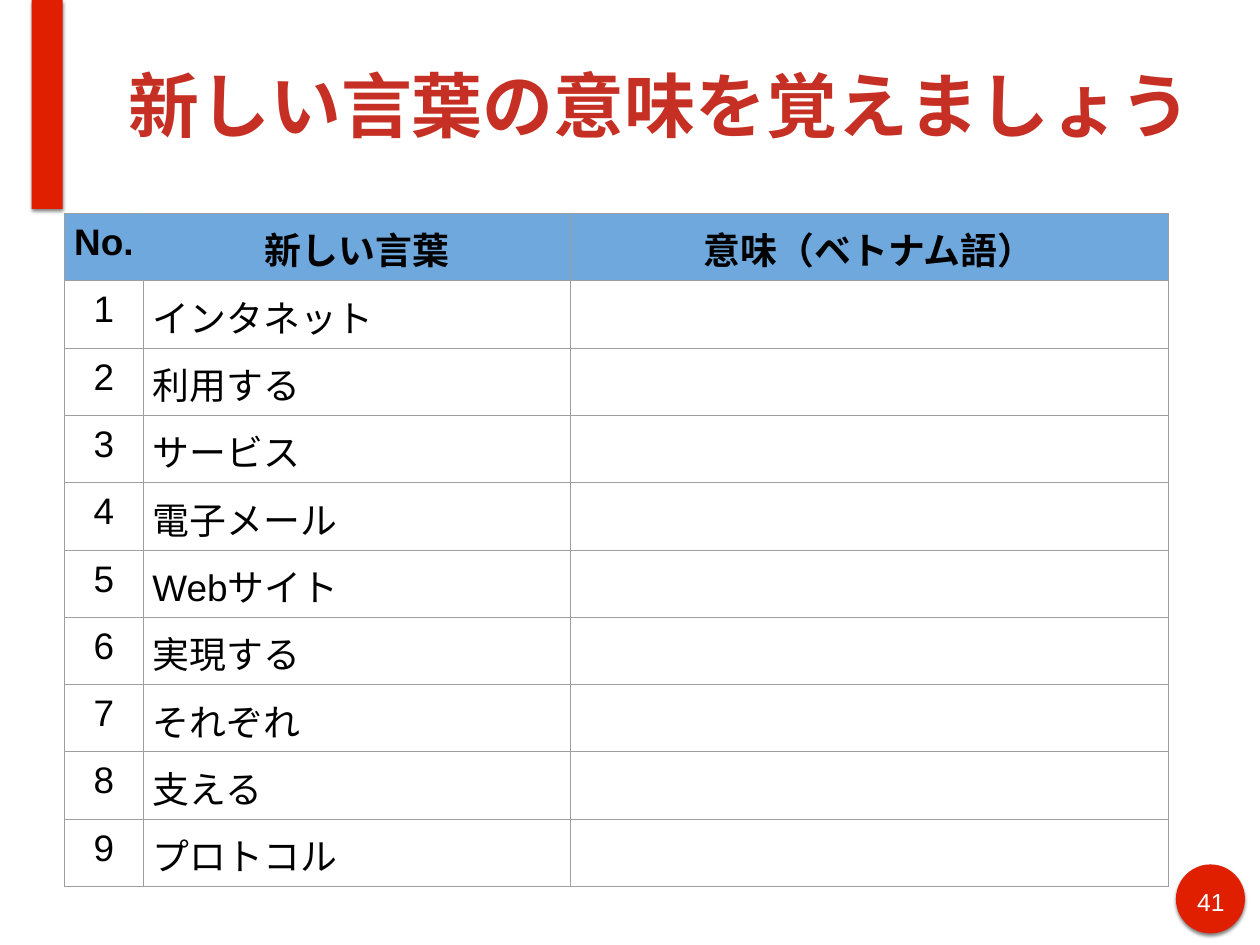
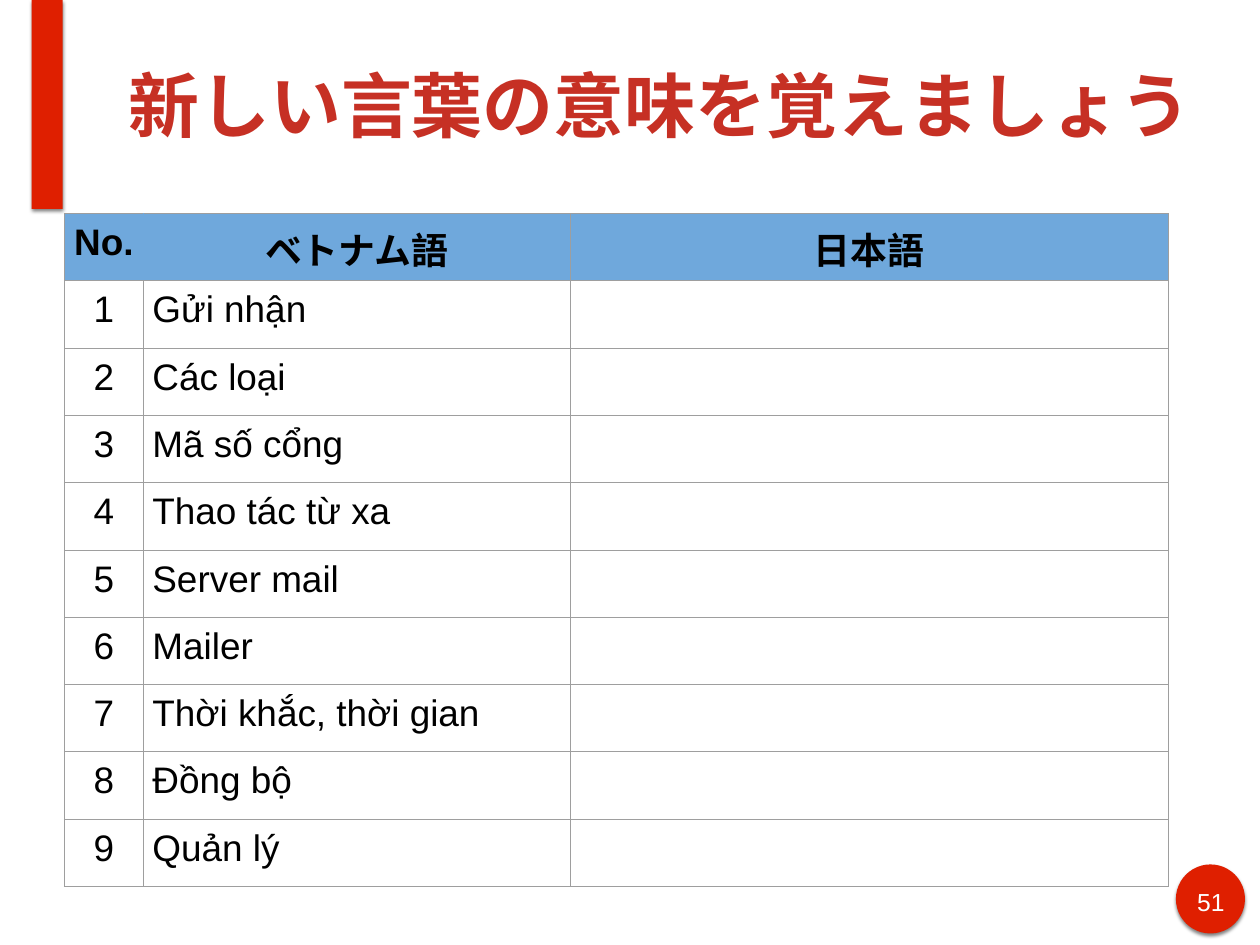
from lxml import etree
from pptx import Presentation
from pptx.dml.color import RGBColor
from pptx.enum.shapes import MSO_SHAPE as SHAPE
from pptx.enum.text import MSO_ANCHOR as ANCHOR, MSO_AUTO_SIZE as AUTO, PP_ALIGN as ALIGN
from pptx.oxml.ns import qn
from pptx.util import Cm, Pt

FONT = "Arial"
RED, TITLE_RED, BLUE = "DF1F00", "C63024", "6FA8DC"
GREY, BLACK, WHITE = "9E9E9E", "000000", "FFFFFF"
TITLE = "新しい言葉の意味を覚えましょう"


def rgb(value):
    return RGBColor.from_string(value)


def add_color(parent, value):
    return etree.SubElement(parent, qn("a:srgbClr"), val=value)


class Deck:
    """Holds the shared style and the current slide."""

    def __init__(self):
        self.prs = Presentation()
        self.prs.slide_width, self.prs.slide_height = Cm(36.12), Cm(27.1)
        self.s = None

    def new_slide(self, number):
        self.s = self.prs.slides.add_slide(self.prs.slide_layouts[5])
        self.shape(SHAPE.OVAL, 33.71, 24.79, 1.98, 1.98)
        self.shape(SHAPE.RECTANGLE, 0.91, 0, 0.89, 5.99)
        self.page_number(number)

    def format(self, p, size, color, bold=False, align=ALIGN.LEFT):
        p.alignment = align
        for r in p.runs:
            r.font.name, r.font.size, r.font.bold = FONT, Pt(size), bold
            r.font.color.rgb = rgb(color)

    def margins(self, tf, inset):
        tf.margin_left = tf.margin_right = Cm(inset)
        tf.margin_top = tf.margin_bottom = Cm(inset)

    def shape(self, kind, x, y, w, h):
        sp = self.s.shapes.add_shape(kind, Cm(x), Cm(y), Cm(w), Cm(h))
        sp.fill.solid()
        sp.fill.fore_color.rgb = rgb(RED)
        sp.line.fill.background()
        # Soft shadow straight below
        sp.shadow.inherit = False
        effects = sp._element.spPr.find(qn("a:effectLst"))
        shadow = etree.SubElement(effects, qn("a:outerShdw"), blurRad=str(Pt(3)),
                                  dist=str(Pt(2)), dir="5400000", rotWithShape="0")
        etree.SubElement(add_color(shadow, BLACK), qn("a:alpha"), val="50000")

    def page_number(self, number):
        sp = self.s.shapes.add_textbox(Cm(34.09), Cm(25.27), Cm(1.24), Cm(0.99))
        tf = sp.text_frame
        tf.word_wrap = True
        self.margins(tf, 0.15)
        tf.text = str(number)
        self.format(tf.paragraphs[0], 20, WHITE, align=ALIGN.CENTER)

    def title(self, text):
        sp = self.s.shapes.title
        sp.left, sp.top, sp.width, sp.height = Cm(3.53), Cm(0.3), Cm(30.84), Cm(5.38)
        tf = sp.text_frame
        tf.auto_size, tf.vertical_anchor = AUTO.NONE, ANCHOR.MIDDLE
        self.margins(tf, 0.15)
        tf.text = text
        self.format(tf.paragraphs[0], 57.6, TITLE_RED, bold=True)

    def borders(self, cell, colors):
        tcPr = cell._tc.get_or_add_tcPr()
        for side, color in zip("LRTB", colors):
            ln = etree.SubElement(tcPr, qn(f"a:ln{side}"), w=str(Pt(0.75)))
            add_color(etree.SubElement(ln, qn("a:solidFill")), color)

    def word_table(self, headers, words):
        rows = [("No.", *headers)]
        rows += [(str(n), word, "") for n, word in enumerate(words, 1)]
        widths, row_height = (2.28, 12.22, 17.15), 1.93
        frame = self.s.shapes.add_table(len(rows), len(widths), Cm(1.84), Cm(6.12),
                                        Cm(sum(widths)), Cm(row_height * len(rows)))
        table = frame.table
        table.first_row = table.horz_banding = False
        for column, width in zip(table.columns, widths):
            column.width = Cm(width)
        for i, row in enumerate(rows):
            table.rows[i].height = Cm(row_height)
            for j, text in enumerate(row):
                self.cell(table.cell(i, j), text, i == 0, j)

    def cell(self, cell, text, header, column):
        # The header has no visible line between its first two cells
        left = BLUE if header and column == 1 else GREY
        right = BLUE if header and column == 0 else GREY
        self.borders(cell, (left, right, GREY, GREY))
        if header:
            cell.fill.solid()
            cell.fill.fore_color.rgb = rgb(BLUE)
        else:
            cell.fill.background()
        self.margins(cell, 0.25)
        cell.text = text
        align = ALIGN.CENTER if header or column == 0 else ALIGN.LEFT
        self.format(cell.text_frame.paragraphs[0], 30, BLACK, header, align)


# Page number, column headers, words to learn
LESSONS = [
    (41, ("新しい言葉", "意味（ベトナム語）"),
     ["インタネット", "利用する", "サービス", "電子メール", "Webサイト",
      "実現する", "それぞれ", "支える", "プロトコル"]),
    (51, ("ベトナム語", "日本語"),
     ["Gửi nhận", "Các loại", "Mã số cổng", "Thao tác từ xa", "Server mail",
      "Mailer", "Thời khắc, thời gian", "Đồng bộ", "Quản lý"]),
]


def main():
    deck = Deck()
    for number, headers, words in LESSONS:
        deck.new_slide(number)
        deck.title(TITLE)
        deck.word_table(headers, words)
    deck.prs.save("out.pptx")


if __name__ == "__main__":
    main()
